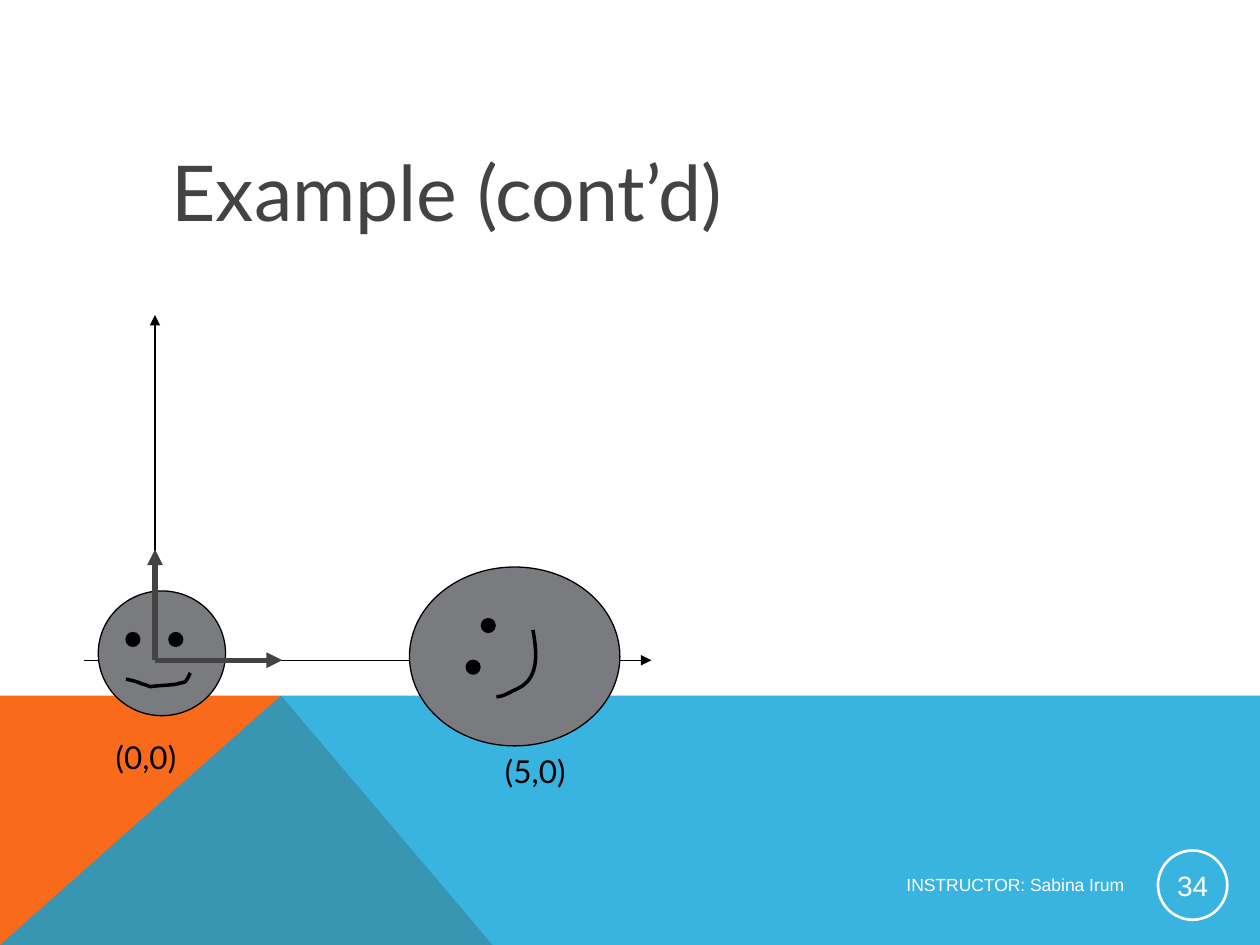
from pptx import Presentation, util as u
from pptx.dml.color import RGBColor
from pptx.enum import shapes, text
from pptx.oxml.ns import qn
from lxml import etree

W, H = 10, 7.5
HORIZON, PEAK = 5.52, 2.23
ORIGIN = (1.23, 5.24)
BLACK, GREY, DARK, WHITE = "000000", "797B7E", "434342", "FFFFFF"
EYE = 0.11

# Outlines: points, fill, opacity in percent
BANDS = [
    ([(0, H), (0, HORIZON), (PEAK, HORIZON), (3.91, H)], "F96A1B", 100),
    ([(0, H), (PEAK, HORIZON), (W, HORIZON), (W, H)], "08A1D9", 80),
]
# Arrows: start, end, colour, width
AXES = [((0.67, ORIGIN[1]), (5.17, ORIGIN[1]), BLACK, 0.75),
        ((ORIGIN[0], 5.68), (ORIGIN[0], 2.5), BLACK, 0.75)]
UNIT_VECTORS = [(ORIGIN, (2.24, ORIGIN[1]), DARK, 3),
                (ORIGIN, (ORIGIN[0], 4.36), DARK, 3)]
# Smiles: a start point, then cubic segments (two controls and an end)
FACES = [
    dict(head=(0.78, 4.69, 1.01, 0.99), eyes=[(1, 5.02), (1.34, 5.02)],
         start=(1, 5.39),
         smile=[((1.05, 5.4), (1.09, 5.41), (1.13, 5.43)),
                ((1.15, 5.43), (1.19, 5.45), (1.19, 5.45)),
                ((1.26, 5.44), (1.33, 5.44), (1.4, 5.43)),
                ((1.43, 5.42), (1.45, 5.42), (1.47, 5.41)),
                ((1.49, 5.39), (1.51, 5.34), (1.51, 5.34))]),
    dict(head=(3.25, 4.5, 1.67, 1.42), eyes=[(3.7, 5.24), (3.82, 4.91)],
         start=(4.23, 5),
         smile=[((4.26, 5.17), (4.29, 5.39), (4.1, 5.47)),
                ((4.05, 5.49), (4, 5.53), (3.94, 5.53))]),
]
LABELS = [("(0,0)", 0.82, 5.81), ("(5,0)", 3.91, 5.92)]


def rgb(color):
    return RGBColor.from_string(color)


def inches(values):
    return [u.Inches(v) for v in values]


def style(sp, fill=None, line=None, width=0.75):
    sp.shadow.inherit = False
    if fill:
        sp.fill.solid()
        sp.fill.fore_color.rgb = rgb(fill)
    else:
        sp.fill.background()
    if line:
        sp.line.color.rgb = rgb(line)
        sp.line.width = u.Pt(width)
    else:
        sp.line.fill.background()


def write(sp, words, size, font, color, align, anchor, margins=(0.1, 0.05), wrap=True):
    tf = sp.text_frame
    tf.text = words
    tf.auto_size = text.MSO_AUTO_SIZE.NONE
    tf.word_wrap = wrap
    tf.vertical_anchor = anchor
    tf.margin_left = tf.margin_right = u.Inches(margins[0])
    tf.margin_top = tf.margin_bottom = u.Inches(margins[1])
    p = tf.paragraphs[0]
    p.alignment = align
    f = p.runs[0].font
    f.size, f.name, f.color.rgb = u.Pt(size), font, rgb(color)


def outline(s, points, close):
    pts = [tuple(inches(pt)) for pt in points]
    fb = s.shapes.build_freeform(*pts[0], scale=1.0)
    fb.add_line_segments(pts[1:], close=close)
    return fb.convert_to_shape()


def curve(start, segments, steps=10):
    points = [start]
    for a, b, end in segments:
        p0 = points[-1]
        for i in range(1, steps + 1):
            t = i / steps
            k = ((1 - t) ** 3, 3 * t * (1 - t) ** 2, 3 * t * t * (1 - t), t ** 3)
            points.append(tuple(sum(w * v for w, v in zip(k, axis))
                                for axis in zip(p0, a, b, end)))
    return points


def ellipse(s, box, **look):
    sp = s.shapes.add_shape(shapes.MSO_SHAPE.OVAL, *inches(box))
    style(sp, **look)
    return sp


def arrow(s, start, end, color, width):
    c = s.shapes.add_connector(shapes.MSO_CONNECTOR.STRAIGHT, *inches(start + end))
    c.line.color.rgb = rgb(color)
    c.line.width = u.Pt(width)
    etree.SubElement(c.line._get_or_add_ln(), qn("a:tailEnd"), type="triangle")
    etree.SubElement(c._element.spPr, qn("a:effectLst"))


def main():
    prs = Presentation()
    prs.slide_width, prs.slide_height = inches((W, H))
    s = prs.slides.add_slide(prs.slide_layouts[5])
    left, right, center = text.PP_ALIGN.LEFT, text.PP_ALIGN.RIGHT, text.PP_ALIGN.CENTER
    top, middle, bottom = (text.MSO_ANCHOR.TOP, text.MSO_ANCHOR.MIDDLE,
                           text.MSO_ANCHOR.BOTTOM)

    # Title
    title = s.shapes.title
    title.left, title.top, title.width, title.height = inches((1.26, 0.68, 8.52, 1.25))
    write(title, "Example (cont’d)", 44, "Lato", DARK, left, bottom)

    # Coloured bands
    for points, fill, opacity in BANDS:
        sp = outline(s, points, True)
        style(sp, fill)
        if opacity < 100:
            clr = sp._element.spPr.find(".//" + qn("a:srgbClr"))
            etree.SubElement(clr, qn("a:alpha"), val=str(opacity * 1000))

    # Axes, faces, then unit vectors on top
    for axis in AXES:
        arrow(s, *axis)
    for face in FACES:
        ellipse(s, face["head"], fill=GREY, line=BLACK)
        for eye in face["eyes"]:
            ellipse(s, eye + (EYE, EYE), fill=BLACK, line=BLACK)
        style(outline(s, curve(face["start"], face["smile"]), False),
              line=BLACK, width=2)
    for vector in UNIT_VECTORS:
        arrow(s, *vector)

    # Coordinates
    for words, x, y in LABELS:
        tb = s.shapes.add_textbox(*inches((x, y, 0.77, 0.4)))
        write(tb, words, 18, "Lato", BLACK, left, top, wrap=False)

    # Footer and slide number
    tb = s.shapes.add_textbox(*inches((3.85, 6.87, 5.17, 0.3)))
    write(tb, "INSTRUCTOR: Sabina Irum", 10, "Arial", WHITE, right, middle)
    badge = ellipse(s, (9.19, 6.75, 0.55, 0.55), line=WHITE, width=1.5)
    write(badge, "34", 16, "Arial", WHITE, center, middle, margins=(0.01, 0.01))

    prs.save("out.pptx")


if __name__ == "__main__":
    main()
